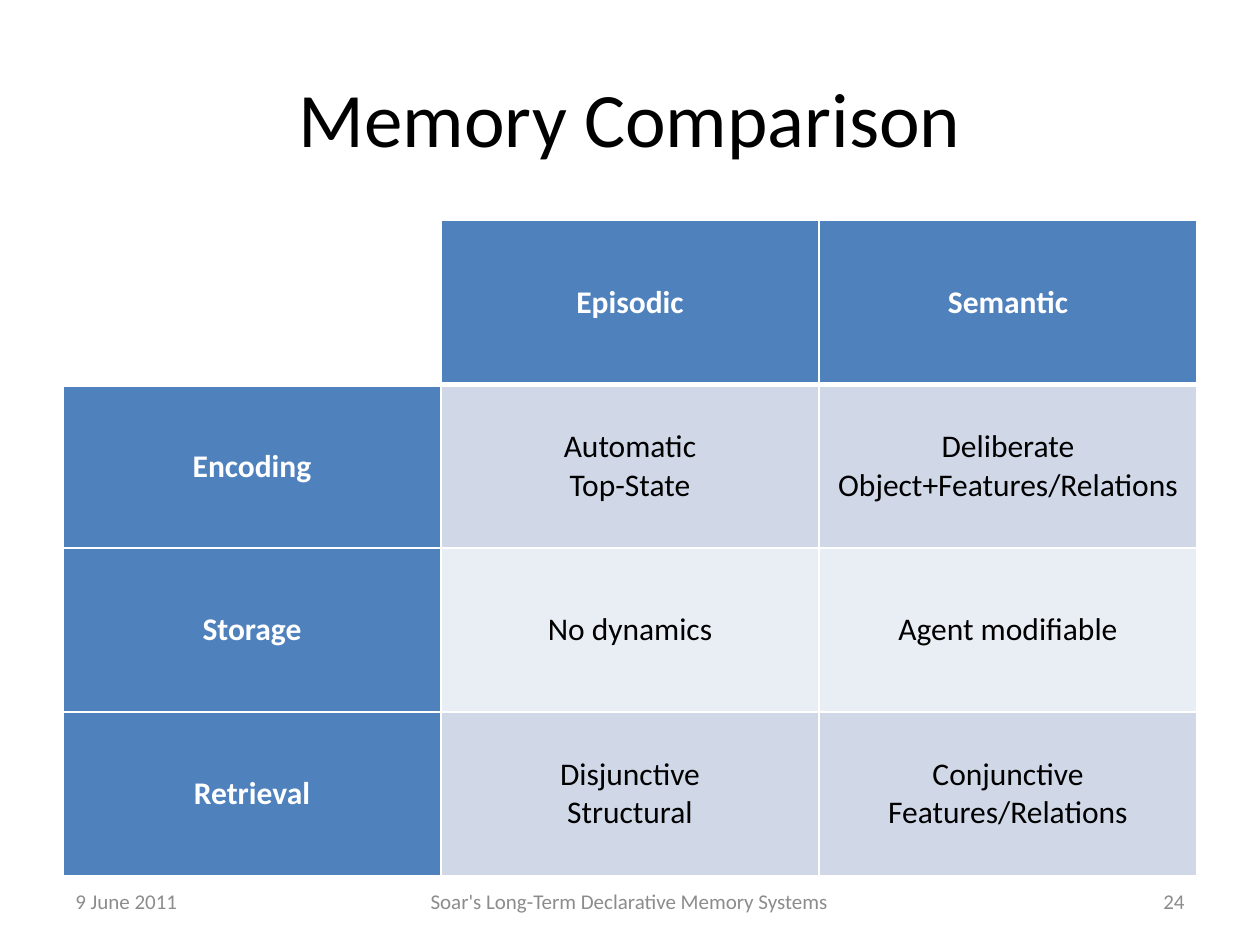
from dataclasses import dataclass

from lxml import etree
from pptx import Presentation
from pptx import util as u
from pptx.dml.color import RGBColor
from pptx.enum import text as t
from pptx.oxml.ns import qn

HUES = {
    "white": "FFFFFF",
    "black": "000000",
    "head": "4F81BD",
    "dark": "D0D8E8",
    "light": "E9EDF4",
    "gray": "8C8C8C",
}
ROWS = [
    ["", "Episodic", "Semantic"],
    ["Encoding", "Automatic\nTop-State", "Deliberate\nObject+Features/Relations"],
    ["Storage", "No dynamics", "Agent modifiable"],
    ["Retrieval", "Disjunctive\nStructural", "Conjunctive\nFeatures/Relations"],
]
LEFT, WIDE = 0.5, 9
TOP, HIGH = 1.75, 5.2


@dataclass
class Note:
    words: str
    left: float
    width: float
    align: t.PP_ALIGN


NOTES = [
    Note("9 June 2011", 0.5, 2.33, t.PP_ALIGN.LEFT),
    Note("Soar's Long-Term Declarative Memory Systems", 2.83, 4.33, t.PP_ALIGN.CENTER),
    Note("24", 7.17, 2.33, t.PP_ALIGN.RIGHT),
]


def style(frame, size: float, hue: str, align: t.PP_ALIGN, bold: bool = False) -> None:
    form = {"name": "Calibri", "size": u.Pt(size), "bold": bold}
    for para in frame.paragraphs:
        para.alignment = align
        for run in para.runs:
            for key, value in form.items():
                setattr(run.font, key, value)
            run.font.color.rgb = RGBColor.from_string(HUES[hue])


def edge(cell, side: str, width: float) -> None:
    props = cell._tc.get_or_add_tcPr()
    line = etree.SubElement(props, qn(f"a:ln{side}"), w=str(u.Pt(width)))
    fill = etree.SubElement(line, qn("a:solidFill"))
    etree.SubElement(fill, qn("a:srgbClr"), val=HUES["white"])


def draw_cell(cell, words: str, row: int, col: int) -> None:
    head = row == 0 or col == 0
    if head:
        hue = "head" if words else "white"
    else:
        hue = "dark" if row % 2 else "light"
    cell.text = words
    cell.vertical_anchor = t.MSO_ANCHOR.MIDDLE
    style(cell.text_frame, 18, "white" if head else "black", t.PP_ALIGN.CENTER, head)
    thick = {(0, "B"), (1, "T")}
    for side in "LRTB":
        edge(cell, side, 3 if (row, side) in thick else 1)
    cell.fill.solid()
    cell.fill.fore_color.rgb = RGBColor.from_string(HUES[hue])


def draw_table(slide) -> None:
    box = [u.Inches(n) for n in (LEFT, TOP, WIDE, HIGH)]
    table = slide.shapes.add_table(len(ROWS), len(ROWS[0]), *box).table
    for col in table.columns:
        col.width = u.Inches(WIDE / len(ROWS[0]))
    for r, row in enumerate(ROWS):
        table.rows[r].height = u.Inches(HIGH / len(ROWS))
        for c, words in enumerate(row):
            draw_cell(table.cell(r, c), words, r, c)


def draw_note(slide, note: Note) -> None:
    box = [u.Inches(n) for n in (note.left, TOP + HIGH, note.width, 0.4)]
    frame = slide.shapes.add_textbox(*box).text_frame
    frame.word_wrap = True
    frame.vertical_anchor = t.MSO_ANCHOR.MIDDLE
    frame.text = note.words
    style(frame, 12, "gray", note.align)


def draw_title(slide) -> None:
    title = slide.shapes.title
    place = {"left": LEFT, "top": 0.3, "width": WIDE, "height": 1.25}
    for key, value in place.items():
        setattr(title, key, u.Inches(value))
    title.text_frame.text = "Memory Comparison"
    title.text_frame.vertical_anchor = t.MSO_ANCHOR.MIDDLE
    style(title.text_frame, 44, "black", t.PP_ALIGN.CENTER)


def main() -> None:
    deck = Presentation()
    deck.slide_width, deck.slide_height = u.Inches(10), u.Inches(7.5)
    slide = deck.slides.add_slide(deck.slide_layouts.get_by_name("Title Only"))
    draw_title(slide)
    draw_table(slide)
    for note in NOTES:
        draw_note(slide, note)
    deck.save("out.pptx")


if __name__ == "__main__":
    main()
